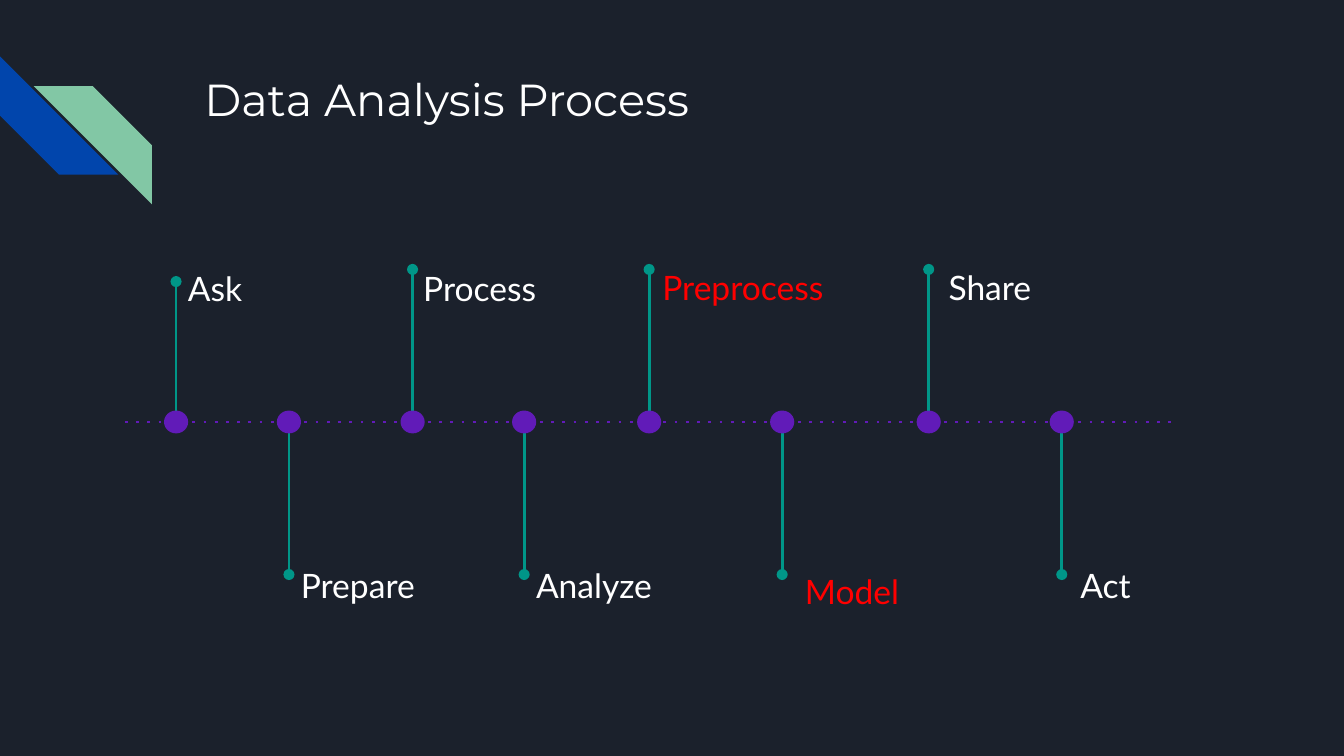
from pptx import Presentation, util as u
from pptx.dml.color import RGBColor
from pptx.enum import shapes, text
from pptx.oxml.ns import qn
from lxml import etree

WIDTH = 10
HEIGHT = WIDTH * 9 / 16
BACKGROUND, WHITE, RED = "1B212C", "FFFFFF", "FF0000"
BLUE, GREEN, PURPLE, TEAL = "0145AC", "82C7A5", "611BB8", "009688"

TITLE = "Data Analysis Process"
# Step, marker centre, label left, label top, label width, colour; steps alternate above and below
STEPS = [
    ("Ask", 1.31, 1.30, 1.85, 2.39, WHITE),
    ("Prepare", 2.15, 2.14, 4.06, 2.39, WHITE),
    ("Process", 3.07, 3.05, 1.85, 2.39, WHITE),
    ("Analyze", 3.90, 3.89, 4.06, 2.39, WHITE),
    ("Preprocess", 4.83, 4.83, 1.84, 2.39, RED),
    ("Model", 5.82, 5.89, 4.10, 2.39, RED),
    ("Share", 6.91, 6.96, 1.84, 1.93, WHITE),
    ("Act", 7.90, 7.94, 4.06, 2.39, WHITE),
]
AXIS_LEFT, AXIS_RIGHT, AXIS_Y = 0.93, 8.75, 3.14
MARKER_WIDTH, MARKER_HEIGHT = 0.18, 0.17
STEM, FIRST_STEM = 1.05, 0.96
LABEL_HEIGHT, STRIPE = 0.84, 0.88


def color(value):
    return RGBColor.from_string(value)


def inches(*values):
    return [u.Inches(value) for value in values]


def write(shape, content, size=18, font="Lato", fill=WHITE, spacing=None):
    frame = shape.text_frame
    frame.word_wrap = True
    frame.auto_size = text.MSO_AUTO_SIZE.NONE
    frame.vertical_anchor = text.MSO_ANCHOR.TOP
    frame.margin_left = frame.margin_right = u.Inches(0.1)
    frame.margin_top = frame.margin_bottom = u.Inches(0.1)
    paragraph = frame.paragraphs[0]
    paragraph.alignment = text.PP_ALIGN.LEFT
    paragraph.line_spacing = spacing
    run = paragraph.add_run()
    run.text = content
    run.font.size, run.font.name = u.Pt(size), font
    run.font.color.rgb = color(fill)


def add_shape(slide, kind, left, top, width, height, fill):
    shape = slide.shapes.add_shape(kind, *inches(left, top, width, height))
    shape.shadow.inherit = False
    shape.fill.solid()
    shape.fill.fore_color.rgb = color(fill)
    shape.line.fill.background()
    return shape


def add_line(slide, start, end, stroke, tag, value):
    """Draw a line; tag and value give its dash or its arrowhead."""
    line = slide.shapes.add_connector(shapes.MSO_CONNECTOR.STRAIGHT, *inches(*start, *end))
    line.line.width = u.Pt(1.5)
    line.line.color.rgb = color(stroke)
    properties = line._element.spPr
    attribute = "val" if tag == "a:prstDash" else "type"
    etree.SubElement(properties.find(qn("a:ln")), qn(tag)).set(attribute, value)
    etree.SubElement(properties, qn("a:effectLst"))


def main():
    presentation = Presentation()
    presentation.slide_width, presentation.slide_height = inches(WIDTH, HEIGHT)
    slide = presentation.slides.add_slide(presentation.slide_layouts[5])
    slide.background.fill.solid()
    slide.background.fill.fore_color.rgb = color(BACKGROUND)

    # Corner stripes
    stripe = shapes.MSO_SHAPE.DIAGONAL_STRIPE
    blue = add_shape(slide, stripe, 0, 0.42, STRIPE, STRIPE, BLUE)
    blue.rotation = 270
    green = add_shape(slide, stripe, 0.25, 0.64, STRIPE, STRIPE, GREEN)
    green._element.spPr.xfrm.set("flipH", "1")

    # Title
    title = slide.shapes.title
    title.left, title.top, title.width, title.height = inches(1.42, 0.43, 7.7, 1)
    write(title, TITLE, size=24, font="Montserrat")

    # Time axis
    add_line(slide, (AXIS_LEFT, AXIS_Y), (AXIS_RIGHT, AXIS_Y), PURPLE, "a:prstDash", "dot")

    # Steps: stem, marker and label
    for index, (name, x, left, top, width, fill) in enumerate(STEPS):
        direction = 1 if index % 2 else -1
        start = AXIS_Y + direction * MARKER_HEIGHT / 2
        end = start + direction * (STEM if index else FIRST_STEM)
        add_line(slide, (x, start), (x, end), TEAL, "a:tailEnd", "oval")
        add_shape(slide, shapes.MSO_SHAPE.OVAL, x - MARKER_WIDTH / 2,
                  AXIS_Y - MARKER_HEIGHT / 2, MARKER_WIDTH, MARKER_HEIGHT, PURPLE)
        label = slide.shapes.add_textbox(*inches(left, top, width, LABEL_HEIGHT))
        write(label, name, fill=fill, spacing=1.15)

    presentation.save("out.pptx")


if __name__ == "__main__":
    main()
